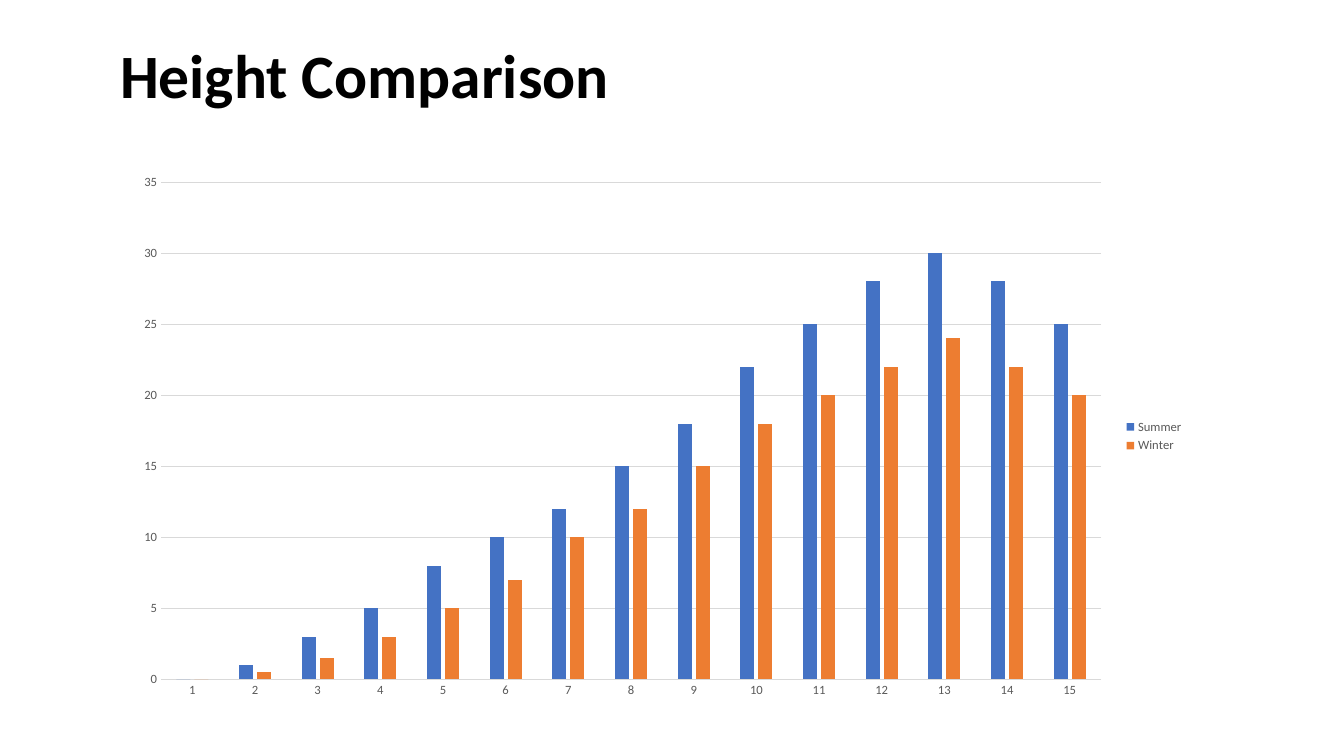
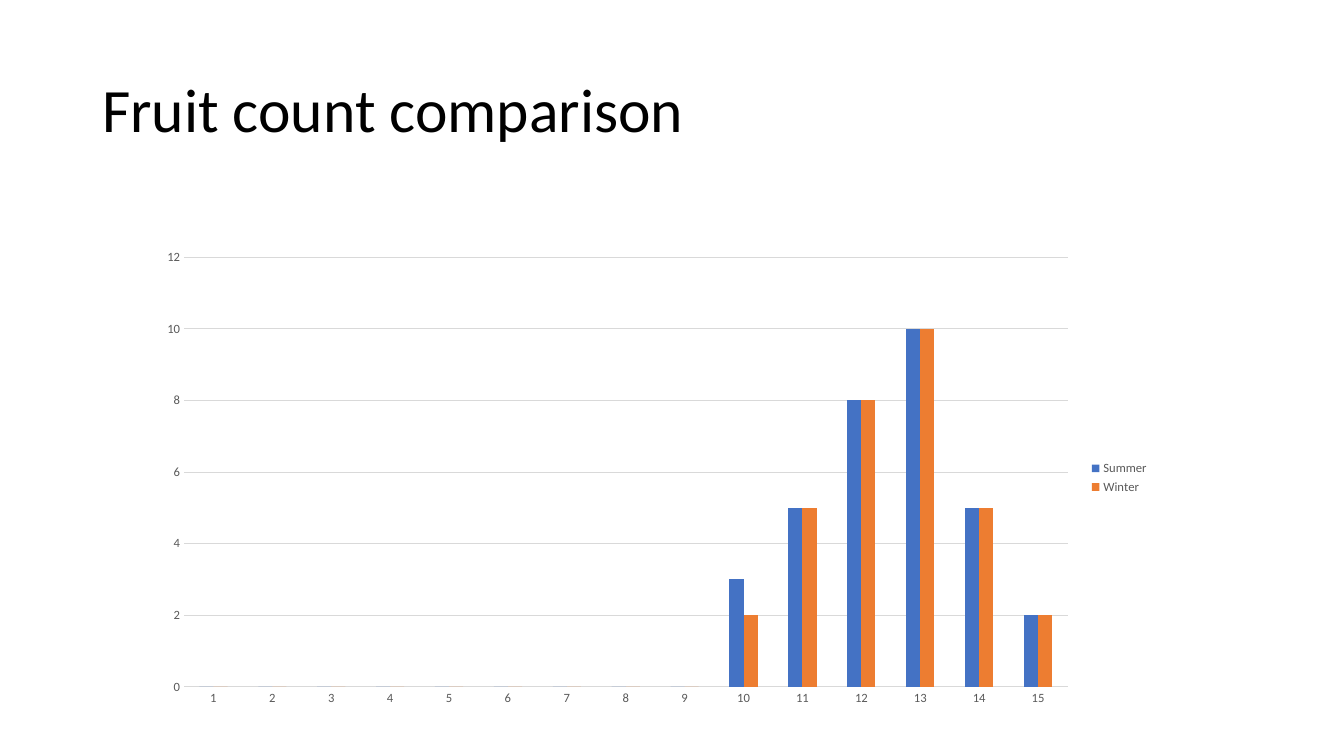
from pptx import Presentation
from pptx.chart.data import CategoryChartData
from pptx.dml.color import RGBColor
from pptx.enum.chart import XL_CHART_TYPE as ChartType
from pptx.enum.chart import XL_LEGEND_POSITION as LegendPosition
from pptx.enum.chart import XL_TICK_MARK as TickMark
from pptx.enum.text import MSO_ANCHOR as Anchor
from pptx.util import Pt

PX = 9525  # EMU per pixel, 96 pixels to the inch
SLIDE_WIDTH, SLIDE_HEIGHT = 1280, 720

FONT = "Calibri"
BLACK = RGBColor(0x00, 0x00, 0x00)
LABEL_GREY = RGBColor(0x59, 0x59, 0x59)
LINE_GREY = RGBColor(0xD9, 0xD9, 0xD9)
SERIES_COLORS = {
    "Summer": RGBColor(0x44, 0x72, 0xC4),
    "Winter": RGBColor(0xED, 0x7D, 0x31),
}
CATEGORIES = [str(number) for number in range(1, 16)]


def to_emu(box):
    return [length * PX for length in box]


def style_font(font, size, color, bold=False):
    font.name = FONT
    font.size = Pt(size)
    font.color.rgb = color
    font.bold = bold


def style_line(line):
    line.color.rgb = LINE_GREY
    line.width = Pt(0.75)


def add_title(slide, box, text, bold):
    text_frame = slide.shapes.add_textbox(*to_emu(box)).text_frame
    text_frame.word_wrap = True
    text_frame.vertical_anchor = Anchor.MIDDLE
    text_frame.text = text
    paragraph = text_frame.paragraphs[0]
    paragraph.line_spacing = 0.9
    style_font(paragraph.runs[0].font, 44, BLACK, bold)


def add_season_chart(slide, box, values, overlap, maximum, step):
    data = CategoryChartData()
    data.categories = CATEGORIES
    for name in SERIES_COLORS:
        data.add_series(name, values[name])
    chart = slide.shapes.add_chart(
        ChartType.COLUMN_CLUSTERED, *to_emu(box), data).chart
    chart.has_title = False
    style_font(chart.font, 10, BLACK)

    # Columns
    plot = chart.plots[0]
    plot.gap_width = 219
    plot.overlap = overlap
    plot.vary_by_categories = False
    for series in plot.series:
        series.format.fill.solid()
        series.format.fill.fore_color.rgb = SERIES_COLORS[series.name]

    # Axes
    category_axis, value_axis = chart.category_axis, chart.value_axis
    for axis in (category_axis, value_axis):
        axis.major_tick_mark = axis.minor_tick_mark = TickMark.NONE
        style_font(axis.tick_labels.font, 9, LABEL_GREY)
    style_line(category_axis.format.line)
    value_axis.format.line.fill.background()
    value_axis.minimum_scale = 0
    value_axis.maximum_scale = maximum
    value_axis.major_unit = step
    style_line(value_axis.major_gridlines.format.line)

    # Legend
    chart.has_legend = True
    chart.legend.position = LegendPosition.RIGHT
    chart.legend.include_in_layout = False
    style_font(chart.legend.font, 9, LABEL_GREY)


def add_comparison_slide(presentation, title, chart):
    slide = presentation.slides.add_slide(presentation.slide_layouts[6])
    add_title(slide, **title)
    add_season_chart(slide, **chart)


def main():
    presentation = Presentation()
    presentation.slide_width = SLIDE_WIDTH * PX
    presentation.slide_height = SLIDE_HEIGHT * PX

    add_comparison_slide(
        presentation,
        title=dict(box=(105, 28, 1003, 94), text="Height Comparison", bold=True),
        chart=dict(
            box=(117, 156, 1020, 519),
            values={
                "Summer": [0, 1, 3, 5, 8, 10, 12, 15, 18, 22, 25, 28, 30, 28, 25],
                "Winter": [0, 0.5, 1.5, 3, 5, 7, 10, 12, 15, 18, 20, 22, 24, 22, 20],
            },
            overlap=-27, maximum=35, step=5))

    no_fruit = [0] * 9
    add_comparison_slide(
        presentation,
        title=dict(box=(88, 38, 1104, 139), text="Fruit count comparison", bold=False),
        chart=dict(
            box=(140, 229, 964, 452),
            values={
                "Summer": no_fruit + [3, 5, 8, 10, 5, 2],
                "Winter": no_fruit + [2, 5, 8, 10, 5, 2],
            },
            overlap=0, maximum=12, step=2))

    presentation.save("out.pptx")


if __name__ == "__main__":
    main()
